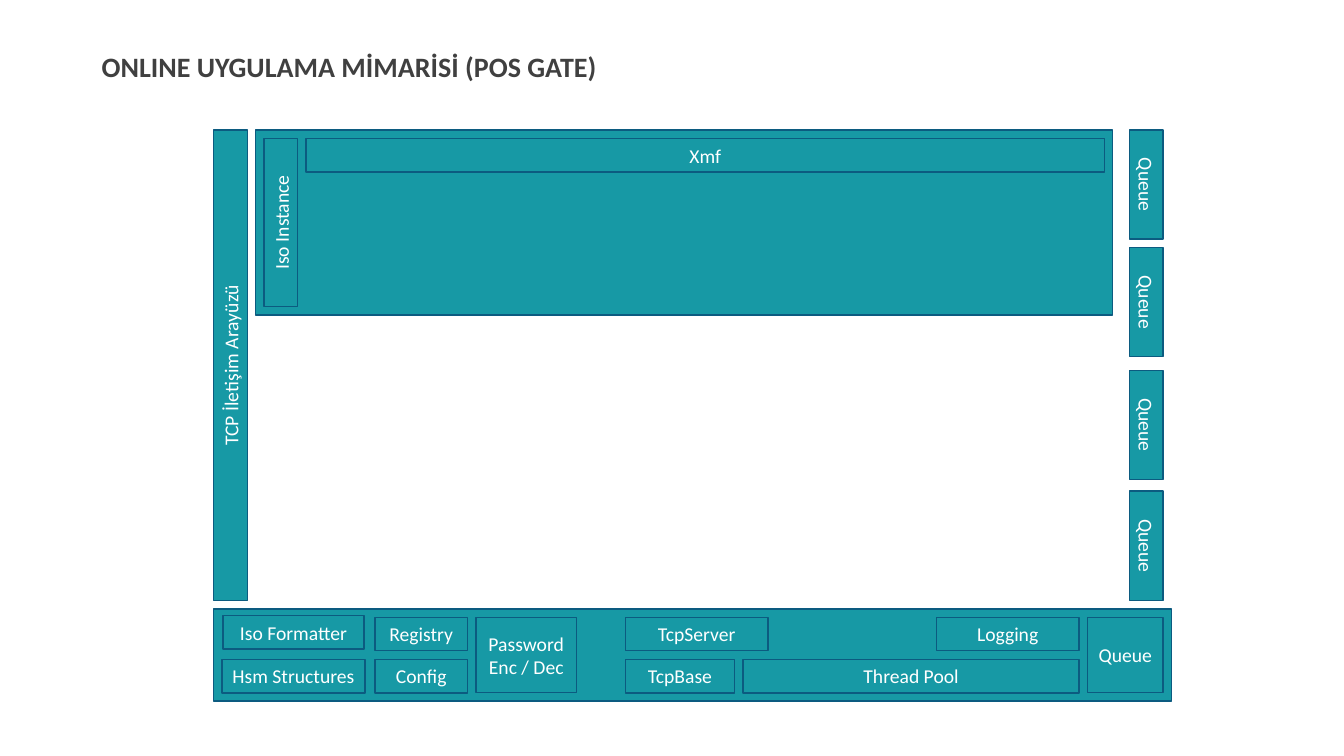
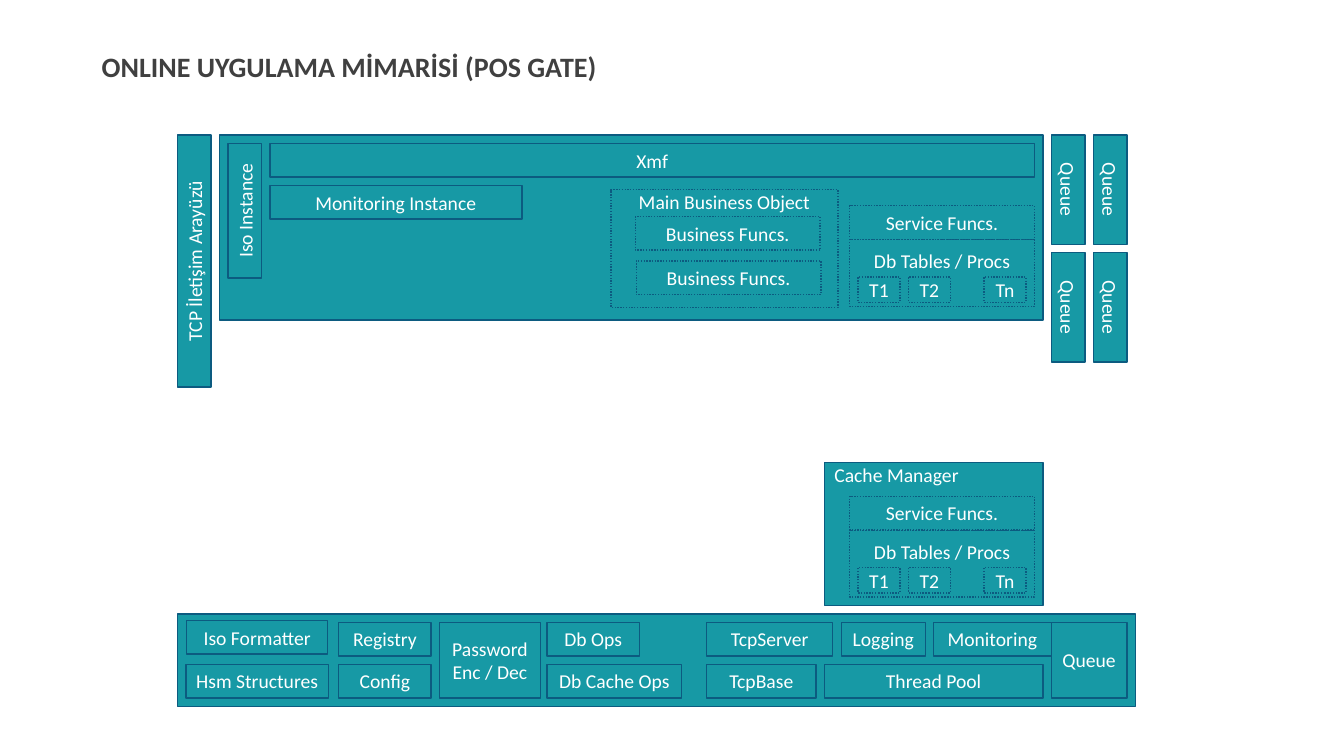
import pptx
import pptx.dml.color
import pptx.enum.dml
import pptx.enum.shapes
import pptx.enum.text
import pptx.util

COLOURS = {"box": "1799A5", "edge": "0C5B80", "label": "FFFFFF", "title": "404040"}
FONT = "Calibri"
TITLE = "ONLINE UYGULAMA MİMARİSİ (POS GATE)"
QUEUE = "Queue"
UNIT = 1 / 12  # grid step in inches
ROW = 4  # usual box height in grid steps
BASE_TOP = 57
TOOL_ROWS = (BASE_TOP + 1, BASE_TOP + 6)
UP, DOWN = 270, 90  # reading direction of upright bars

LABEL = {"size": pptx.util.Pt(14), "name": FONT}
HEADING = {"size": pptx.util.Pt(20), "name": FONT, "bold": True}

# Boxes: text, column, row, width, height, then optional formats
SHARED_TOOLS = [
    ("", 0, BASE_TOP, 114, 11),
    ("Iso Formatter", 1.1, BASE_TOP + 0.8, 16.8, ROW),
    ("Hsm Structures", 1, TOOL_ROWS[1], 17, ROW),
    ("Registry", 19.2, TOOL_ROWS[0], 11, ROW),
    ("Config", 19.2, TOOL_ROWS[1], 11, ROW),
    ("Password Enc / Dec", 31.2, TOOL_ROWS[0], 12, 9),
    (QUEUE, 104, TOOL_ROWS[0], 9, 9),
]


def tools(*rows):
    """Boxes of the base band, given per row as text, column, width."""
    return [(text, column, top, width, ROW)
            for top, row in zip(TOOL_ROWS, rows) for text, column, width in row]


def queues(columns, rows):
    return [(QUEUE, column, row, ROW, 13, {"turn": DOWN})
            for column in columns for row in rows]


def frame(panel_width, side_height, instance_height):
    """Communication bar and the main panel with its header."""
    return [
        ("TCP İletişim Arayüzü", 0, 0, ROW, side_height, {"turn": UP}),
        ("", 5, 0, panel_width, 22),
        ("Iso Instance", 6, 1, ROW, instance_height, {"turn": UP}),
        ("Xmf", 11, 1, panel_width - 7, ROW),
    ]


def database(top):
    """Service functions above a table box."""
    dotted = {"dotted": True}
    tables = [("T1", 81), ("T2", 87), ("Tn", 96)]
    return [
        ("Db Tables / Procs", 80, top + 4, 22, 8, {"dotted": True, "inset": 0.1}),
        *[(text, column, top + 8.5, 5, 3, dotted) for text, column in tables],
        ("Service Funcs.", 80, top, 22, ROW, dotted),
    ]


SLIDES = [
    {
        "origin": (2.12, 1.29),
        "boxes": SHARED_TOOLS
        + tools([("TcpServer", 49, 17), ("Logging", 86, 17)],
                [("TcpBase", 49, 13), ("Thread Pool", 63, 40)])
        + frame(102, 56, 20)
        + queues([109], [0, 14, 28.6, 43]),
    },
    {
        "origin": (1.76, 1.34),
        "boxes": SHARED_TOOLS
        + tools([("Db Ops", 44, 11), ("TcpServer", 63, 15),
                 ("Logging", 79, 10), ("Monitoring", 90, 14)],
                [("Db Cache Ops", 44, 16), ("TcpBase", 63, 13), ("Thread Pool", 77, 26)])
        + frame(98, 30, 16)
        + queues([104, 109], [0, 14])
        + [("Monitoring Instance", 11, 6, 30, ROW),
           ("Main Business Object", 51.6, 6.5, 27, 14, {"dotted": True, "inset": 0}),
           ("Business Funcs.", 54.5, 9.7, 22, ROW, {"dotted": True}),
           ("Business Funcs.", 54.6, 15, 22, ROW, {"dotted": True})]
        + database(8.4)
        + [("Cache Manager", 77, 39, 26, 17, {"inset": 0, "align": "LEFT"})]
        + database(43),
    },
]


def colour(name):
    return pptx.dml.color.RGBColor.from_string(COLOURS[name])


def write(paragraph, text, formats, colour_name):
    run = paragraph.add_run()
    run.text = text
    for attribute, value in formats.items():
        setattr(run.font, attribute, value)
    run.font.color.rgb = colour(colour_name)


def add_title(slide):
    shape = slide.shapes.add_textbox(
        *[pptx.util.Inches(length) for length in (0.91, 0.44, 5.15, 0.44)])
    shape.text_frame.word_wrap = False
    write(shape.text_frame.paragraphs[0], TITLE, HEADING, "title")


def add_box(slide, origin, text, column, row, width, height,
            options=None):
    options = options or {}
    left, top = origin[0] + column * UNIT, origin[1] + row * UNIT
    width, height = width * UNIT, height * UNIT
    turn = options.get("turn", 0)
    if turn:  # a quarter turn swaps the sides around the same centre
        shift = (width - height) / 2
        left, top, width, height = left + shift, top - shift, height, width
    shape = slide.shapes.add_shape(
        pptx.enum.shapes.MSO_SHAPE.RECTANGLE,
        *[pptx.util.Inches(length) for length in (left, top, width, height)])
    shape.rotation = turn
    shape.shadow.inherit = False
    shape.fill.solid()
    shape.fill.fore_color.rgb = colour("box")
    shape.line.color.rgb = colour("edge")
    shape.line.width = pptx.util.Pt(1)
    if options.get("dotted"):
        shape.line.dash_style = pptx.enum.dml.MSO_LINE.ROUND_DOT
    if not text:
        return
    text_frame = shape.text_frame
    text_frame.word_wrap = True
    text_frame.vertical_anchor = pptx.enum.text.MSO_ANCHOR.MIDDLE
    if "inset" in options:
        text_frame.vertical_anchor = pptx.enum.text.MSO_ANCHOR.TOP
        text_frame.margin_top = pptx.util.Inches(options["inset"])
    paragraph = text_frame.paragraphs[0]
    paragraph.alignment = pptx.enum.text.PP_ALIGN[options.get("align", "CENTER")]
    write(paragraph, text, LABEL, "label")


def main():
    presentation = pptx.Presentation()
    presentation.slide_width = pptx.util.Inches(13.33)
    presentation.slide_height = pptx.util.Inches(7.5)
    for content in SLIDES:
        slide = presentation.slides.add_slide(presentation.slide_layouts[6])
        add_title(slide)
        for box in content["boxes"]:
            add_box(slide, content["origin"], *box)
    presentation.save("out.pptx")


if __name__ == "__main__":
    main()
